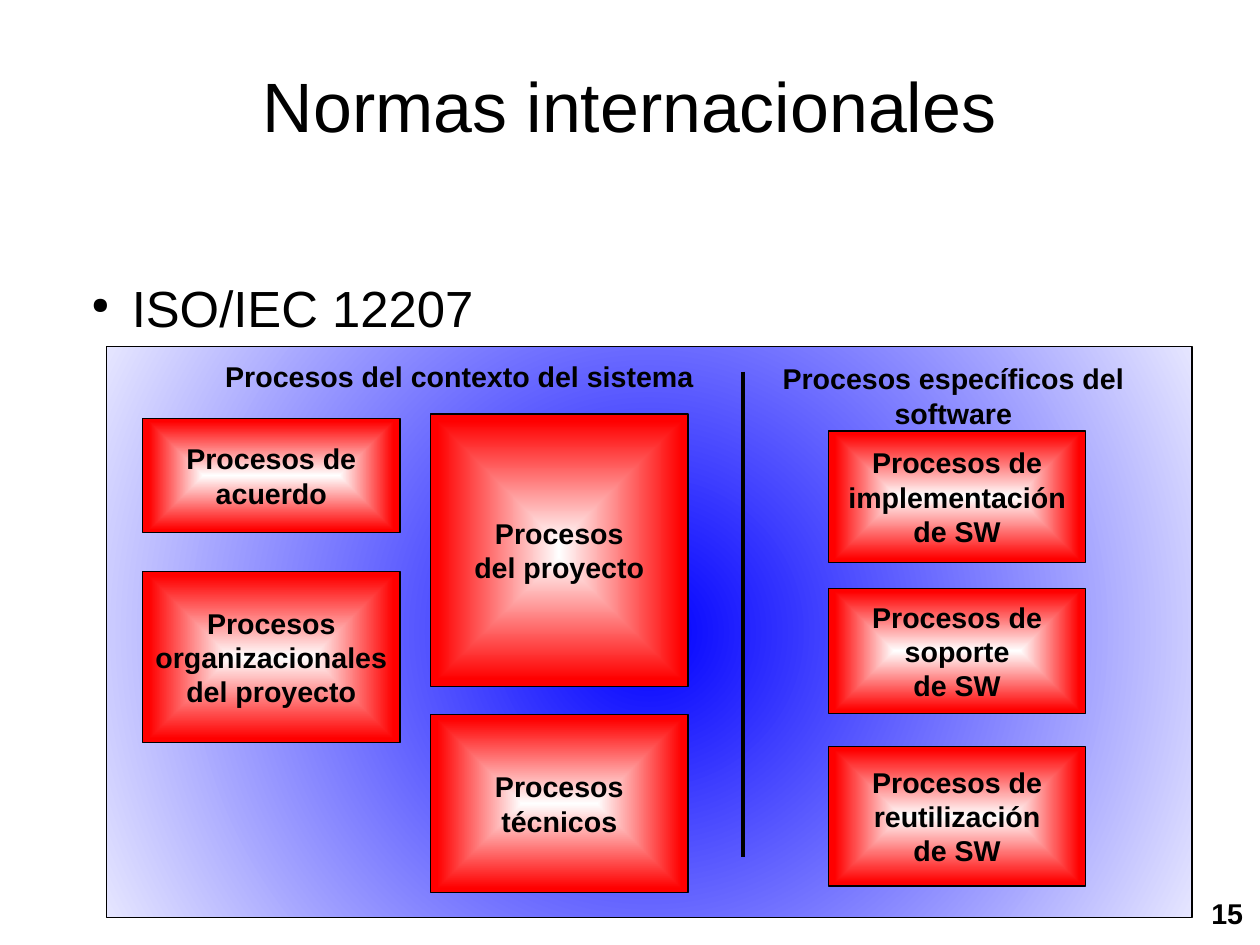
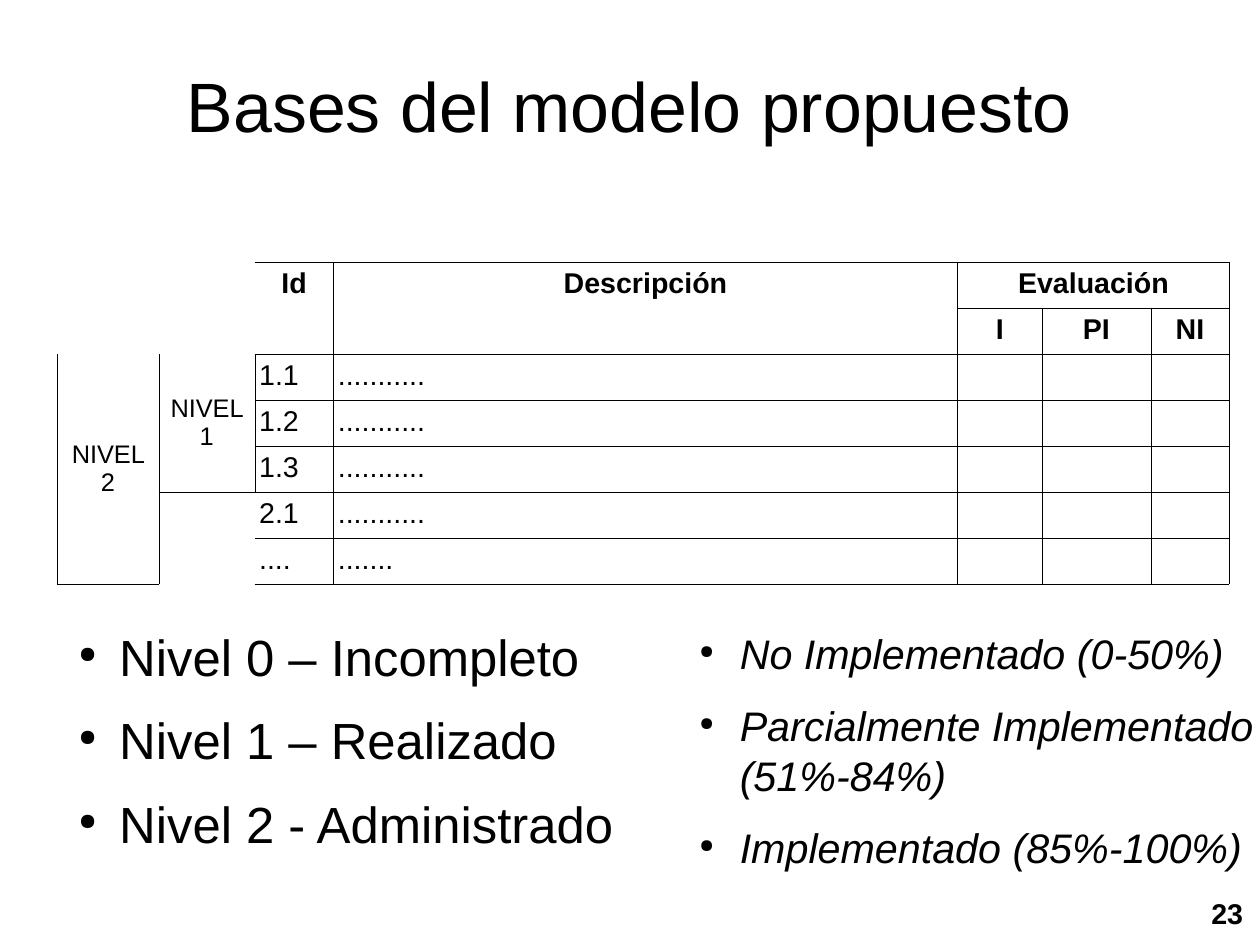
from lxml.etree import SubElement
from pptx import Presentation
from pptx.dml.color import RGBColor
from pptx.enum.shapes import MSO_CONNECTOR as CONNECTOR, MSO_SHAPE as SHAPE
from pptx.enum.text import MSO_ANCHOR as ANCHOR, PP_ALIGN as ALIGN
from pptx.oxml import parse_xml
from pptx.oxml.ns import nsdecls, qn
from pptx.util import Cm, Pt

COLORS = {"ink": "000000", "blue": "0000FF", "pale": "E6E6FF",
          "white": "FFFFFF", "red": "FF0000"}
FONT = "Arial"
SLIDE_W, SLIDE_H = 28, 21
TITLE_BOX = (1, 0.38, 26, 3.9)
NUMBER_BOX = (26.67, 19.79, 1.33, 1.2)
INSETS = (0.25, 0.13)
CELL_INSETS = (0.1, 0.13)
HAIRLINE = Pt(0.06)

PROCESS_W = 5.72
PROCESSES = [  # left, top, height inside the panel, lines
    (0.81, 1.6, 2.54, ["Procesos de", "acuerdo"]),
    (0.81, 5, 3.81, ["Procesos", "organizacionales", "del proyecto"]),
    (7.21, 1.5, 6.05, ["Procesos", "del proyecto"]),
    (7.21, 8.18, 3.96, ["Procesos", "técnicos"]),
    (16.05, 1.88, 2.92, ["Procesos de", "implementación", "de SW"]),
    (16.05, 5.38, 2.77, ["Procesos de", "soporte", "de SW"]),
    (16.05, 8.89, 3.1, ["Procesos de", "reutilización", "de SW"]),
]
HEADINGS = [  # left, top, width, height inside the panel, text
    (2.1, 0.15, 11.5, 1, "Procesos del contexto del sistema"),
    (14.38, 0.2, 8.89, 1.73, "Procesos específicos del software"),
]

COLUMN_W = [2.26, 2.13, 1.75, 13.87, 1.88, 2.41, 1.75]
ROW_H = 1.02
DOTS = "..........."
ROWS = [
    ["", "", "Id", "Descripción", "Evaluación", "", ""],
    ["", "", "", "", "I", "PI", "NI"],
    ["NIVEL 2", "NIVEL 1", "1.1", DOTS, "", "", ""],
    ["", "", "1.2", DOTS, "", "", ""],
    ["", "", "1.3", DOTS, "", "", ""],
    ["", "", "2.1", DOTS, "", "", ""],
    ["", "", "....", ".......", "", "", ""],
]
MERGES = [((0, 2), (1, 2)), ((0, 3), (1, 3)), ((0, 4), (0, 6)),
          ((2, 0), (6, 0)), ((2, 1), (4, 1))]
OPEN_CELLS = {(0, 0): "", (0, 1): "", (1, 0): "", (1, 1): "",
              (0, 2): "TRB", (2, 0): "LRB", (2, 1): "LRB",
              (5, 1): "LT", (6, 1): "L", (5, 2): "TRB", (6, 2): "TRB"}


def write(paragraph, text, size, bold=False, italic=False):
    run = paragraph.add_run()
    run.text = text
    font = run.font
    font.name, font.size = FONT, Pt(size)
    font.bold, font.italic = bold, italic
    font.color.rgb = RGBColor.from_string(COLORS["ink"])


def set_frame(frame, insets, anchor):
    frame.word_wrap = True
    frame.vertical_anchor = anchor
    frame.margin_left = frame.margin_right = Cm(insets[0])
    frame.margin_top = frame.margin_bottom = Cm(insets[1])


def write_lines(frame, lines, size, align=ALIGN.LEFT, **style):
    for i, line in enumerate(lines):
        paragraph = frame.add_paragraph() if i else frame.paragraphs[0]
        paragraph.alignment = align
        write(paragraph, line, size, **style)


def add_text(slide, box, lines, size, align=ALIGN.LEFT, insets=(0, 0),
             anchor=ANCHOR.TOP, **style):
    frame = slide.shapes.add_textbox(*map(Cm, box)).text_frame
    set_frame(frame, insets, anchor)
    write_lines(frame, lines, size, align, **style)
    return frame


def add_bullets(slide, box, items, size, **style):
    frame = add_text(slide, box, items, size, **style)
    for paragraph in frame.paragraphs:
        props = paragraph._p.get_or_add_pPr()
        props.set("marL", str(Cm(1.2)))
        props.set("indent", str(Cm(-0.9)))
        color = SubElement(props, qn("a:buClr"))
        SubElement(color, qn("a:srgbClr"), val=COLORS["ink"])
        SubElement(props, qn("a:buSzPct"), val="45000")
        SubElement(props, qn("a:buChar"), char="●")
        paragraph.space_after = Pt(14.2)


def add_gradient_box(slide, box, shade, inner, outer, outer_stop):
    """Rectangle shaded from its centre; shade is 'circle' or 'rect'."""
    shape = slide.shapes.add_shape(SHAPE.RECTANGLE, *map(Cm, box))
    shape.shadow.inherit = False
    shape.fill.background()
    blank = shape._element.spPr.find(qn("a:noFill"))
    blank.getparent().replace(blank, parse_xml(
        f'<a:gradFill {nsdecls("a")} rotWithShape="1"><a:gsLst>'
        f'<a:gs pos="0"><a:srgbClr val="{COLORS[inner]}"/></a:gs>'
        f'<a:gs pos="{outer_stop * 1000}"><a:srgbClr val="{COLORS[outer]}"/></a:gs>'
        f'</a:gsLst><a:path path="{shade}">'
        '<a:fillToRect l="50000" t="50000" r="50000" b="50000"/>'
        '</a:path></a:gradFill>'))
    style_line(shape.line)
    return shape


def style_line(line):
    line.color.rgb = RGBColor.from_string(COLORS["ink"])
    line.width = Pt(0)


def add_process_panel(slide, box):
    left, top = box[:2]
    add_gradient_box(slide, box, "circle", "blue", "pale", 100)
    for x, y, width, height, text in HEADINGS:
        add_text(slide, (left + x, top + y, width, height), [text], 18,
                 ALIGN.CENTER, INSETS, bold=True)
    divider_x = left + 14.15
    divider = slide.shapes.add_connector(
        CONNECTOR.STRAIGHT, Cm(divider_x), Cm(top + 0.56), Cm(divider_x), Cm(top + 11.35))
    style_line(divider.line)
    SubElement(divider._element.spPr, qn("a:effectLst"))
    for x, y, height, lines in PROCESSES:
        process = add_gradient_box(slide, (left + x, top + y, PROCESS_W, height),
                                   "rect", "white", "red", 95)
        set_frame(process.text_frame, INSETS, ANCHOR.MIDDLE)
        write_lines(process.text_frame, lines, 18, ALIGN.CENTER, bold=True)


def set_borders(cell, sides):
    props = cell._tc.get_or_add_tcPr()
    for side in "LRTB":
        border = SubElement(props, qn(f"a:ln{side}"), w=str(HAIRLINE))
        if side in sides:
            paint = SubElement(border, qn("a:solidFill"))
            SubElement(paint, qn("a:srgbClr"), val=COLORS["ink"])
        else:
            SubElement(border, qn("a:noFill"))


def add_evaluation_table(slide, left, top):
    table = slide.shapes.add_table(
        len(ROWS), len(COLUMN_W), Cm(left), Cm(top),
        Cm(sum(COLUMN_W)), Cm(ROW_H * len(ROWS))).table
    table.first_row = table.horz_banding = False
    for column, width in zip(table.columns, COLUMN_W):
        column.width = Cm(width)
    origins = {}
    for start, end in MERGES:
        table.cell(*start).merge(table.cell(*end))
        origins.update({(r, c): start for r in range(start[0], end[0] + 1)
                        for c in range(start[1], end[1] + 1)})
    for r, texts in enumerate(ROWS):
        table.rows[r].height = Cm(ROW_H)
        for c, text in enumerate(texts):
            cell = table.cell(r, c)
            set_borders(cell, OPEN_CELLS.get(origins.get((r, c), (r, c)), "LTRB"))
            cell.fill.background()
            cell.margin_left = cell.margin_right = Cm(CELL_INSETS[0])
            cell.margin_top = cell.margin_bottom = Cm(CELL_INSETS[1])
            is_header, is_level = r < 2, c < 2
            cell.vertical_anchor = ANCHOR.MIDDLE if is_level else ANCHOR.TOP
            if text:
                write_lines(cell.text_frame, [text], 16 if is_level else 18,
                            ALIGN.CENTER if is_header or is_level else ALIGN.LEFT,
                            bold=is_header)


def add_slide(deck, title, number):
    slide = deck.slides.add_slide(deck.slide_layouts[6])
    add_text(slide, TITLE_BOX, [title], 44, ALIGN.CENTER, anchor=ANCHOR.MIDDLE)
    add_text(slide, NUMBER_BOX, [number], 18, insets=INSETS, bold=True)
    return slide


def build_standards(deck):
    slide = add_slide(deck, "Normas internacionales", "15")
    add_bullets(slide, (1.73, 6.15, 24.5, 1.5), ["ISO/IEC 12207"], 32)
    add_process_panel(slide, (2.36, 7.7, 24.13, 12.7))


def build_model(deck):
    slide = add_slide(deck, "Bases del modelo propuesto", "23")
    add_evaluation_table(slide, 1.27, 5.82)
    add_bullets(slide, (1.45, 13.9, 13.15, 6), [
        "Nivel 0 – Incompleto", "Nivel 1 – Realizado", "Nivel 2 - Administrado"], 32)
    add_bullets(slide, (15.24, 13.97, 12.76, 6), [
        "No Implementado (0-50%)", "Parcialmente Implementado (51%-84%)",
        "Implementado (85%-100%)"], 26, italic=True)


def main():
    deck = Presentation()
    deck.slide_width, deck.slide_height = Cm(SLIDE_W), Cm(SLIDE_H)
    build_standards(deck)
    build_model(deck)
    deck.save("out.pptx")


if __name__ == "__main__":
    main()
